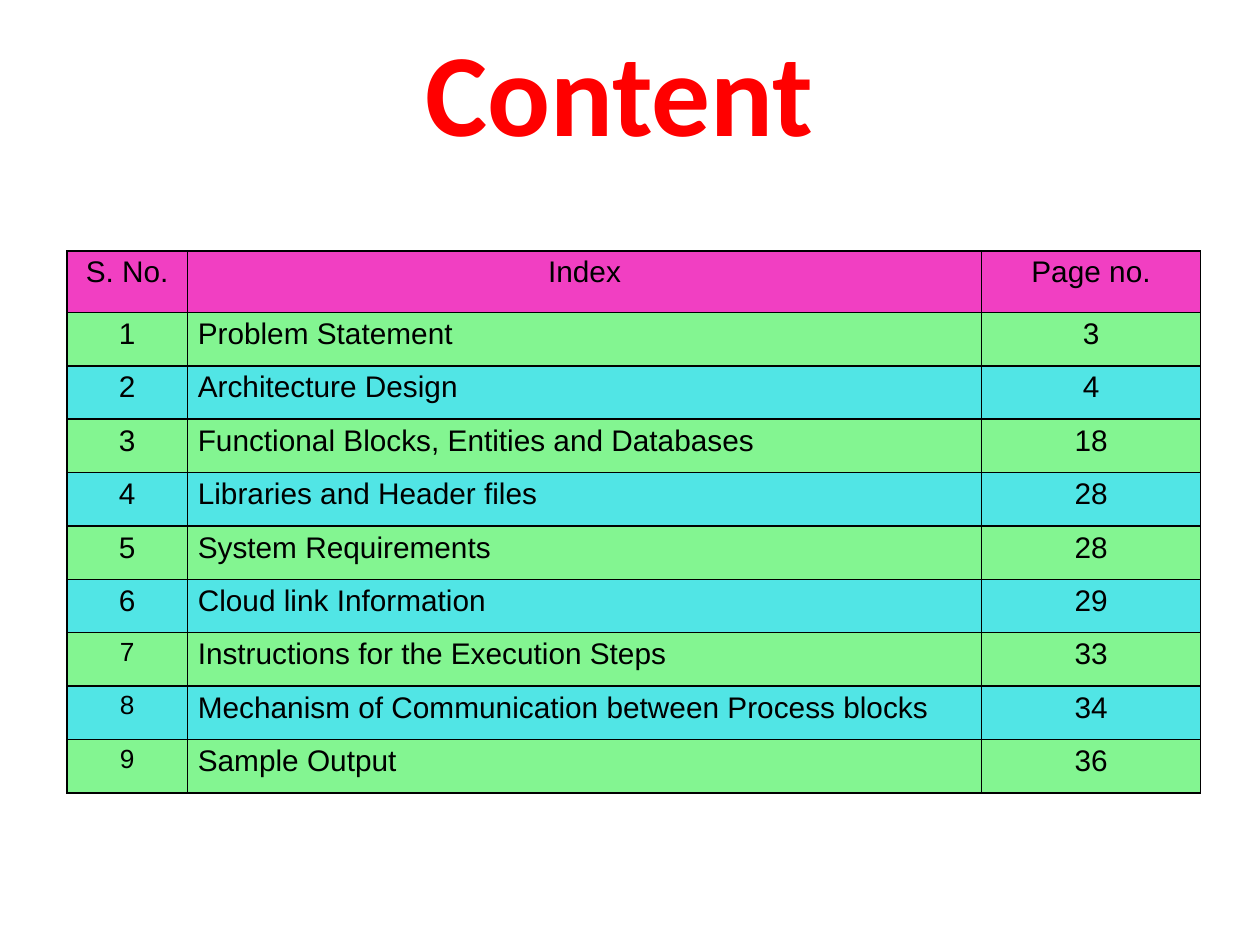
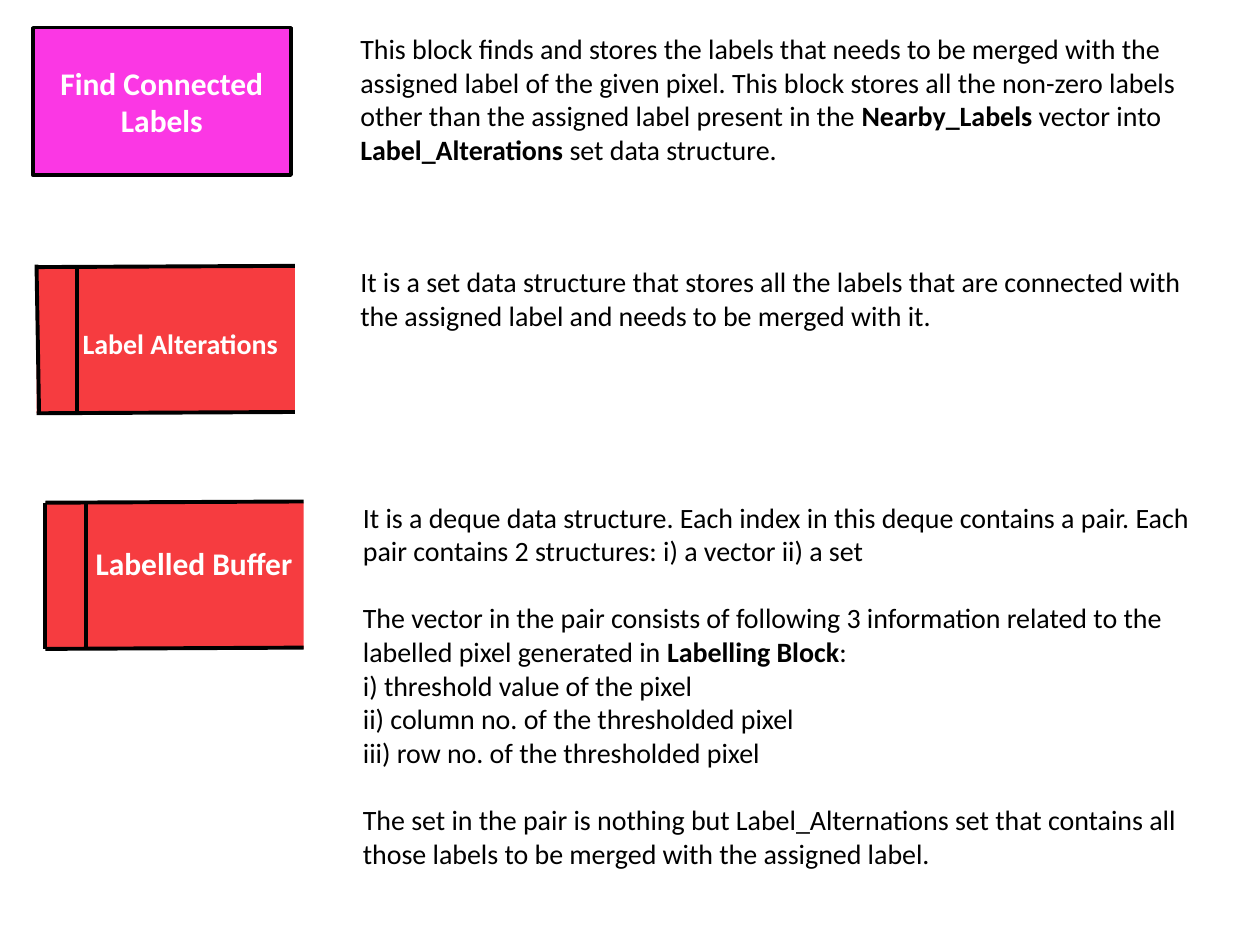
"""Build a contents slide and a slide explaining the connected-label blocks."""
from lxml.etree import SubElement
from pptx import Presentation
from pptx.dml.color import RGBColor
from pptx.enum.shapes import MSO_CONNECTOR, MSO_SHAPE
from pptx.enum.text import MSO_ANCHOR, MSO_AUTO_SIZE, PP_ALIGN
from pptx.oxml import parse_xml
from pptx.oxml.ns import nsdecls, qn
from pptx.util import Inches, Pt

BLACK = RGBColor(0x00, 0x00, 0x00)
WHITE = RGBColor(0xFF, 0xFF, 0xFF)
RED = RGBColor(0xFF, 0x00, 0x00)
PINK = RGBColor(0xF1, 0x3F, 0xC2)
GREEN = RGBColor(0x83, 0xF5, 0x91)
CYAN = RGBColor(0x51, 0xE5, 0xE5)
MAGENTA = RGBColor(0xFB, 0x37, 0xE4)
CORAL = RGBColor(0xF6, 0x3C, 0x40)

prs = Presentation()
prs.slide_width, prs.slide_height = Inches(10), Inches(7.5)
COL, ROW = prs.slide_width // 100, prs.slide_height // 75


def grid(x, y, w, h):
    """Turn columns and rows of the slide grid into lengths."""
    return int(x * COL), int(y * ROW), int(w * COL), int(h * ROW)


def write(tf, *paras, size=16, font="Calibri", color=BLACK, bold=False,
          align=PP_ALIGN.LEFT, anchor=MSO_ANCHOR.TOP, inset=(1, 0.5), gaps=()):
    """Write paragraphs; asterisks switch bold, gaps lists those set apart."""
    tf.word_wrap = True
    tf.auto_size = MSO_AUTO_SIZE.NONE
    tf.vertical_anchor = anchor
    tf.margin_left = tf.margin_right = int(inset[0] * COL)
    tf.margin_top = tf.margin_bottom = int(inset[1] * ROW)
    for i, text in enumerate(paras):
        p = tf.add_paragraph() if i else tf.paragraphs[0]
        p.alignment = align
        if i in gaps:
            p.space_before = Pt(size * 1.2)
        for j, part in enumerate(text.split("*")):
            r = p.add_run()
            r.text = part
            r.font.name, r.font.size = font, Pt(size)
            r.font.bold = bold or j % 2 == 1
            r.font.color.rgb = color


s = prs.slides.add_slide(prs.slide_layouts[5])
title = s.shapes.title
title.left, title.top, title.width, title.height = grid(2.3, 1, 93.7, 12.3)
write(title.text_frame, "Content", size=67, color=RED, bold=True, align=PP_ALIGN.CENTER)

entries = [
    ("S. No.", "Index", "Page no."),
    ("1", "Problem Statement", "3"),
    ("2", "Architecture Design", "4"),
    ("3", "Functional Blocks, Entities and Databases", "18"),
    ("4", "Libraries and Header files", "28"),
    ("5", "System Requirements", "28"),
    ("6", "Cloud link Information", "29"),
    ("7", "Instructions for the Execution Steps", "33"),
    ("8", "Mechanism of Communication between Process blocks", "34"),
    ("9", "Sample Output", "36"),
]
table = s.shapes.add_table(len(entries), 3, *grid(5.3, 19.9, 90, 43)).table
for column, width in zip(table.columns, (9.6, 63, 17.4)):
    column.width = int(width * COL)
for i, entry in enumerate(entries):
    table.rows[i].height = int((4.24 if i else 4.9) * ROW)
    for j, text in enumerate(entry):
        cell = table.cell(i, j)
        cell.fill.solid()
        cell.fill.fore_color.rgb = (GREEN if i % 2 else CYAN) if i else PINK
        cell.margin_left = cell.margin_right = int(0.8 * COL)
        cell.margin_top = cell.margin_bottom = int(0.4 * ROW)
        write(cell.text_frame, text, font="Arial", inset=(0.8, 0.4),
              size=15 if i > 6 and j == 0 else 17,
              align=PP_ALIGN.LEFT if i and j == 1 else PP_ALIGN.CENTER)
        tcPr = cell._tc.get_or_add_tcPr()
        for k, side in enumerate("LRTB"):
            tcPr.insert(k, parse_xml(
                f'<a:ln{side} {nsdecls("a")} w="12700"><a:solidFill>'
                f'<a:srgbClr val="{BLACK}"/></a:solidFill></a:ln{side}>'))

s = prs.slides.add_slide(prs.slide_layouts[6])
block = s.shapes.add_shape(MSO_SHAPE.RECTANGLE, *grid(2.6, 2.2, 20.5, 11.7))
block.shadow.inherit = False
block.fill.solid()
block.fill.fore_color.rgb = MAGENTA
block.line.color.rgb, block.line.width = BLACK, Pt(2)
write(block.text_frame, "Find Connected Labels", size=18, color=WHITE, bold=True,
      align=PP_ALIGN.CENTER, anchor=MSO_ANCHOR.MIDDLE)

stores = [
    ("Labelled Buffer", 18, 3.6, 39.9, 0, (5.8, 42.7, 19.2, 4)),
    ("Label Alterations", 16, 2.9, 21.2, 0.2, (5.2, 25.4, 18.2, 3.7)),
]
for name, size, x, y, lean, label in stores:
    body = s.shapes.add_shape(MSO_SHAPE.RECTANGLE, *grid(x, y, 20.5, 11.6))
    body.shadow.inherit = False
    body.fill.solid()
    body.fill.fore_color.rgb = CORAL
    body.line.fill.background()
    edges = [
        (3.2, 11.6, 3.2, 0),
        (0, 0, 20.5, -0.1),
        (0, 11.6, 20.5, 11.5),
        (lean, 11.6, 0, -lean),
    ]
    for x1, y1, x2, y2 in edges:
        edge = s.shapes.add_connector(
            MSO_CONNECTOR.STRAIGHT, *grid(x + x1, y + y1, x + x2, y + y2))
        edge.line.color.rgb, edge.line.width = BLACK, Pt(2.25)
        SubElement(edge._element.spPr, qn("a:effectLst"))
    write(s.shapes.add_textbox(*grid(*label)).text_frame, name, size=size,
          color=WHITE, bold=True, align=PP_ALIGN.CENTER)

notes = [
    ((27.8, 2.1, 70.2, 11.6), (), [
        "This block finds and stores the labels that needs to be merged with the "
        "assigned label of the given pixel. This block stores all the non-zero labels "
        "other than the assigned label present in the *Nearby_Labels *vector into "
        "*Label_Alterations* set data structure."]),
    ((27.8, 20.6, 69.5, 6.2), (), [
        "It is a set data structure that stores all the labels that are connected "
        "with the assigned label and needs to be merged with it."]),
    ((28, 39.3, 69.5, 30.5), (1, 5), [
        "It is a deque data structure. Each index in this deque contains a pair. "
        "Each pair contains 2 structures: i) a vector ii) a set",
        "The vector in the pair consists of following 3 information related to the "
        "labelled pixel generated in* Labelling Block*:",
        "i) threshold value of the pixel",
        "ii) column no. of the thresholded pixel",
        "iii) row no. of the thresholded pixel",
        "The set in the pair is nothing but Label_Alternations set that contains all "
        "those labels to be merged with the assigned label."]),
]
for place, gaps, paras in notes:
    write(s.shapes.add_textbox(*grid(*place)).text_frame, *paras,
          inset=(0.8, 0.4), gaps=gaps)

prs.save("out.pptx")
